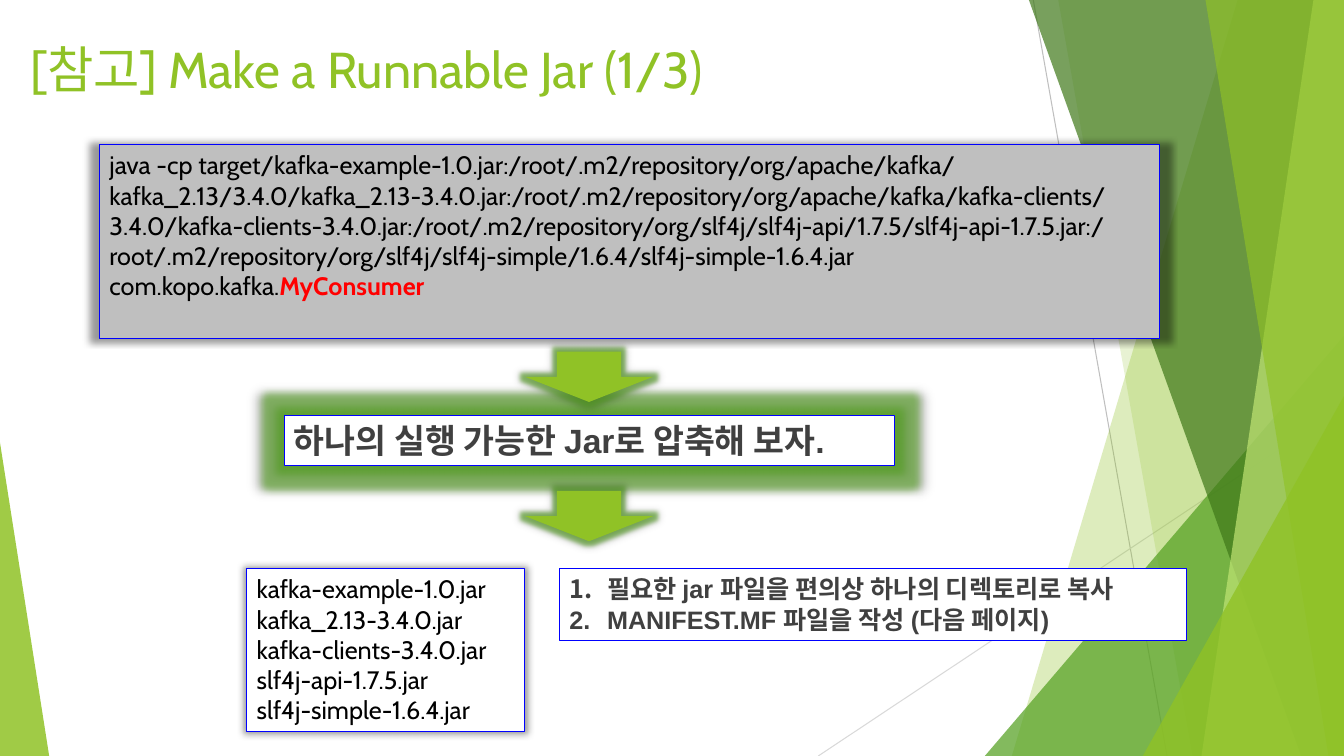
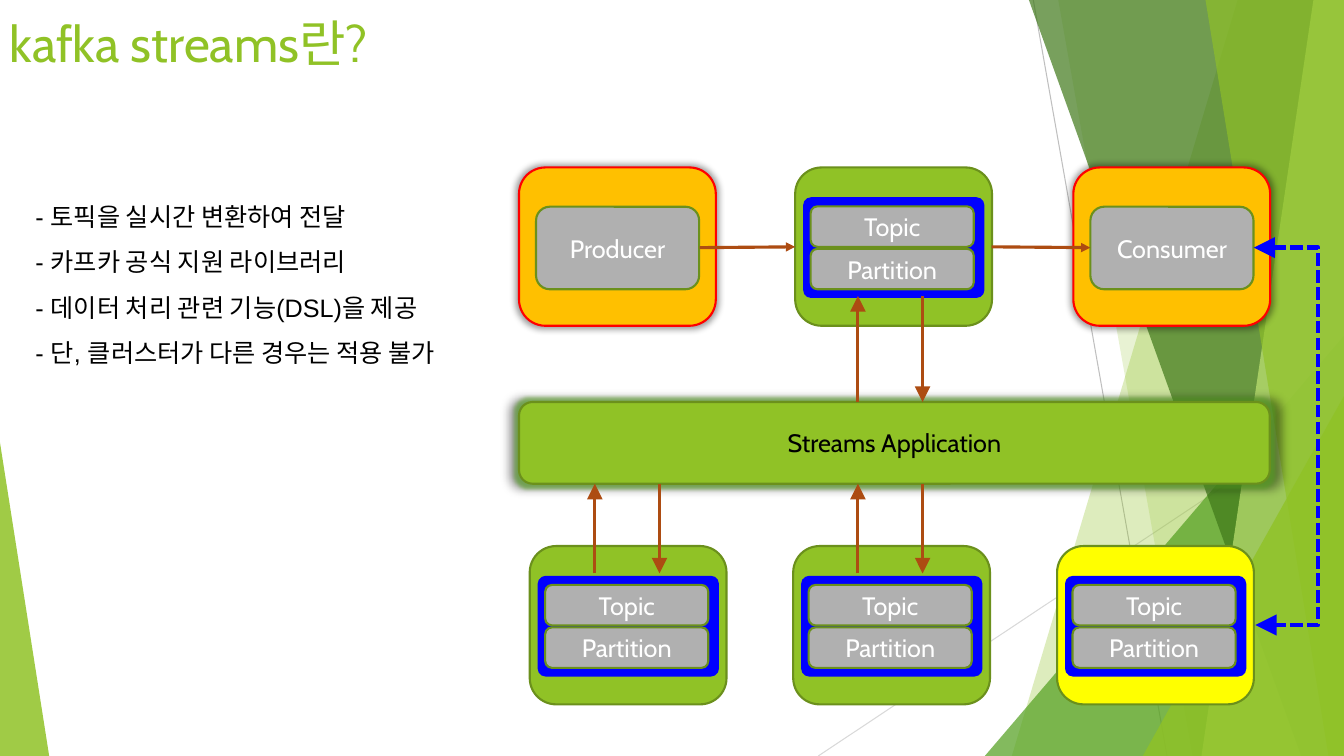
from lxml import etree
from pptx import Presentation
from pptx.dml.color import RGBColor
from pptx.enum.dml import MSO_LINE
from pptx.enum.shapes import MSO_CONNECTOR, MSO_SHAPE
from pptx.enum.text import MSO_ANCHOR, PP_ALIGN
from pptx.oxml.ns import qn
from pptx.util import Cm, Pt

RECT = MSO_SHAPE.RECTANGLE
ROUNDED = MSO_SHAPE.ROUNDED_RECTANGLE
CARD = MSO_SHAPE.FLOWCHART_ALTERNATE_PROCESS
TRIANGLE = MSO_SHAPE.ISOSCELES_TRIANGLE
DOWN_ARROW = MSO_SHAPE.DOWN_ARROW
STRAIGHT = MSO_CONNECTOR.STRAIGHT
ELBOW = MSO_CONNECTOR.ELBOW
DASHED = MSO_LINE.SQUARE_DOT
TOP, MIDDLE = MSO_ANCHOR.TOP, MSO_ANCHOR.MIDDLE
LEFT, CENTER = PP_ALIGN.LEFT, PP_ALIGN.CENTER

COLORS = {
    "green": "90C226", "mid_green": "54A021", "deep_green": "3F7819",
    "pale_green": "C0E474", "olive": "6B901C", "blue": "0000FF",
    "red": "FF0000", "orange": "FFC000", "yellow": "FFFF00",
    "brown": "AD4C12", "black": "000000", "white": "FFFFFF",
    "charcoal": "404040", "grey": "B0B0B0", "silver": "BFBFBF",
    "mist": "D9D9D9",
}
LATIN, KOREAN = "Cabin", "Arial"
WIDTH, HEIGHT = 33.87, 19.05


def rgb(color):
    return RGBColor.from_string(COLORS[color])


def add_xml(parent, tag, **attributes):
    return etree.SubElement(parent, qn(tag), attributes)


def add_color(parent, color, opacity):
    node = add_xml(parent, "a:srgbClr", val=COLORS[color])
    add_xml(node, "a:alpha", val=str(opacity * 1000))


def paint(shape, fill, outline=None, width=0.75, opacity=100):
    shape.shadow.inherit = False
    shape.fill.solid()
    shape.fill.fore_color.rgb = rgb(fill)
    if opacity < 100:
        tint = shape._element.spPr.find(qn("a:solidFill"))[0]
        add_xml(tint, "a:alpha", val=str(opacity * 1000))
    if outline:
        shape.line.color.rgb = rgb(outline)
        shape.line.width = Pt(width)
    else:
        shape.line.fill.background()


def add_halo(shape, glow=0):
    """Soft shadow all around, with a green glow of the given points."""
    effects = shape._element.spPr.find(qn("a:effectLst"))
    if glow:
        add_color(add_xml(effects, "a:glow", rad=str(Pt(glow))), "mid_green", 60)
    shadow = add_xml(effects, "a:outerShdw", blurRad=str(Pt(5)), sx="102000",
                     sy="102000", algn="ctr", rotWithShape="0")
    add_color(shadow, "black", 40)


def add_block(slide, kind, box, fill, outline=None, width=0.75, opacity=100):
    block = slide.shapes.add_shape(kind, *map(Cm, box))
    paint(block, fill, outline, width, opacity)
    return block


def write(shape, lines, size=18, font=LATIN, color="black", bold=False,
          align=LEFT, anchor=TOP, spacing=None, numbered=False):
    frame = shape.text_frame
    frame.word_wrap = True
    frame.vertical_anchor = anchor
    frame.text = "\n".join(lines)
    for paragraph in frame.paragraphs:
        paragraph.alignment = align
        if spacing:
            paragraph.line_spacing = spacing
        if numbered:
            properties = paragraph._p.get_or_add_pPr()
            properties.set("marL", str(Cm(0.95)))
            properties.set("indent", str(Cm(-0.95)))
            add_xml(properties, "a:buFont", typeface="+mj-lt")
            add_xml(properties, "a:buAutoNum", type="arabicPeriod")
        for run in paragraph.runs:
            style_run(run, size, font, color, bold)


def style_run(run, size, font, color, bold):
    run.font.size = Pt(size)
    run.font.name = font
    run.font.color.rgb = rgb(color)
    run.font.bold = bold


def add_line(slide, start, end, color, width, kind=STRAIGHT):
    line = slide.shapes.add_connector(kind, *map(Cm, start + end))
    line.line.color.rgb = rgb(color)
    line.line.width = Pt(width)
    add_xml(line._element.spPr, "a:effectLst")
    return line


def add_head(line, tag="a:tailEnd", size="med"):
    add_xml(line.line._get_or_add_ln(), tag, type="triangle", w=size, len=size)


def add_arrow(slide, start, end, size="med"):
    add_head(add_line(slide, start, end, "brown", 2.25), size=size)


def add_band(slide, top_left, bottom_left, color, opacity):
    """Slanted band reaching the right edge of the slide."""
    builder = slide.shapes.build_freeform(Cm(top_left), 0)
    corners = [(WIDTH, 0), (WIDTH, HEIGHT), (bottom_left, HEIGHT)]
    builder.add_line_segments([(Cm(x), Cm(y)) for x, y in corners])
    paint(builder.convert_to_shape(), color, opacity=opacity)


def add_wedge(slide, box, apex, color, opacity):
    wedge = add_block(slide, TRIANGLE, box, color, opacity=opacity)
    wedge.adjustments[0] = apex


def add_backdrop(slide):
    add_line(slide, (26.04, 0), (29.41, HEIGHT), "silver", 0.75)
    add_line(slide, (WIDTH, 10.24), (20.62, HEIGHT), "mist", 0.75)
    add_band(slide, 31.19, 25.5, "green", 30)
    add_band(slide, 26.67, 30.05, "green", 20)
    add_wedge(slide, (24.82, 8.46, 9.05, 10.59), 1, "mid_green", 72)
    add_band(slide, 25.93, 32.79, "deep_green", 70)
    add_band(slide, 33.1, 30.28, "pale_green", 70)
    add_band(slide, 30.38, 33.48, "green", 65)
    add_wedge(slide, (28.8, 9.98, 5.07, 9.07), 1, "green", 80)
    add_wedge(slide, (0, 11.15, 1.24, 7.9), 0, "green", 85)


def add_page(deck, title, left, top):
    slide = deck.slides.add_slide(deck.slide_layouts[6])
    add_backdrop(slide)
    heading = slide.shapes.add_textbox(Cm(left), Cm(top), Cm(23.88), Cm(3.66))
    write(heading, [title], size=36, color="green")
    return slide


def add_label(slide, box, text):
    label = add_block(slide, CARD, box, "grey", "olive", 1.5)
    write(label, [text], color="white", align=CENTER, anchor=MIDDLE)


def add_client(slide, left, top, role):
    card = add_block(slide, CARD, (left, top, 4.96, 3.99), "orange", "red", 1.5)
    add_halo(card)
    add_label(slide, (left + 0.43, top + 0.99, 4.11, 2.08), role)


def add_topic(slide, left, top, fill):
    add_block(slide, CARD, (left, top, 4.96, 3.99), fill, "olive", 1.5)
    frame = add_block(slide, ROUNDED, (left + 0.2, top + 0.75, 4.57, 2.54), "blue")
    frame.adjustments[0] = 0.08
    for row, text in enumerate(("Topic", "Partition")):
        box = (left + 0.39, top + 0.98 + row * 1.07, 4.11, 1.02)
        add_label(slide, box, text)


def add_exchange(slide, x, upper, lower):
    """An arrow up and, to its right, an arrow down."""
    add_arrow(slide, (x, lower), (x, upper), "lg")
    add_arrow(slide, (x + 1.63, upper), (x + 1.63, lower), "lg")


def add_bypass(slide, start, end, reach):
    """Dashed two-way link that bends out by the given reach."""
    link = add_line(slide, start, end, "blue", 3, ELBOW)
    link.line.dash_style = DASHED
    for tag in ("a:headEnd", "a:tailEnd"):
        add_head(link, tag, "lg")
    bend = round(reach / (end[0] - start[0]) * 100000)
    guides = link._element.spPr.find(qn("a:prstGeom")).find(qn("a:avLst"))
    add_xml(guides, "a:gd", name="adj1", fmla=f"val {bend}")


def build_jar_page(deck):
    slide = add_page(deck, "[참고] Make a Runnable Jar (1/3)", 0.53, 0.84)

    command = add_block(slide, RECT, (2.51, 3.65, 26.72, 4.89), "silver", "blue")
    add_halo(command)
    write(command, [
        "java -cp target/kafka-example-1.0.jar"
        ":/root/.m2/repository/org/apache/kafka/kafka_2.13/3.4.0/kafka_2.13-3.4.0.jar"
        ":/root/.m2/repository/org/apache/kafka/kafka-clients/3.4.0/kafka-clients-3.4.0.jar"
        ":/root/.m2/repository/org/slf4j/slf4j-api/1.7.5/slf4j-api-1.7.5.jar"
        ":/root/.m2/repository/org/slf4j/slf4j-simple/1.6.4/slf4j-simple-1.6.4.jar"
        " com.kopo.kafka."])
    main_class = command.text_frame.paragraphs[0].add_run()
    main_class.text = "MyConsumer"
    style_run(main_class, 18, LATIN, "red", True)

    goal = add_block(slide, RECT, (7.16, 10.46, 15.39, 1.28), "white", "blue")
    add_halo(goal, glow=11)
    write(goal, ["하나의 실행 가능한 Jar로 압축해 보자."], size=24, font=KOREAN,
          color="charcoal", bold=True)

    for top in (8.86, 12.37):
        add_halo(add_block(slide, DOWN_ARROW, (13.23, top, 3.23, 1.27), "green"),
                 glow=6)

    steps = add_block(slide, RECT, (14.1, 14.33, 15.8, 1.8), "white", "blue")
    write(steps, ["필요한 jar 파일을 편의상 하나의 디렉토리로 복사",
                  "MANIFEST.MF 파일을 작성 (다음 페이지)"],
          font=KOREAN, color="charcoal", bold=True, numbered=True)

    jars = add_block(slide, RECT, (6.22, 14.33, 7, 4.1), "white", "blue")
    add_halo(jars)
    write(jars, ["kafka-example-1.0.jar", "kafka_2.13-3.4.0.jar",
                 "kafka-clients-3.4.0.jar", "slf4j-api-1.7.5.jar",
                 "slf4j-simple-1.6.4.jar"])


def build_streams_page(deck):
    slide = add_page(deck, "kafka streams란?", 0, 0.18)

    features = slide.shapes.add_textbox(Cm(0.64), Cm(4.57), Cm(11.89), Cm(5.87))
    write(features, ["- 토픽을 실시간 변환하여 전달",
                     "- 카프카 공식 지원 라이브러리",
                     "- 데이터 처리 관련 기능(DSL)을 제공",
                     "- 단, 클러스터가 다른 경우는 적용 불가"],
          font=KOREAN, spacing=1.5)

    add_client(slide, 13.08, 4.22, "Producer")
    add_client(slide, 27.05, 4.22, "Consumer")
    for left, top, fill in ((20.04, 4.22, "green"), (13.35, 13.76, "green"),
                            (19.99, 13.76, "green"), (26.64, 13.76, "yellow")):
        add_topic(slide, left, top, fill)

    application = add_block(slide, ROUNDED, (13.08, 10.13, 18.92, 2.06),
                            "green", "olive", 1.5)
    add_halo(application, glow=5)
    write(application, ["Streams Application"], align=CENTER, anchor=MIDDLE)

    add_arrow(slide, (17.63, 6.24), (20.04, 6.22))
    add_arrow(slide, (24.99, 6.22), (27.48, 6.24))
    add_exchange(slide, 21.62, 7.46, 10.13)
    for x in (14.99, 21.62):
        add_exchange(slide, x, 12.19, 14.45)
    add_bypass(slide, (31.6, 6.24), (31.64, 15.75), 1.62)


def main():
    deck = Presentation()
    deck.slide_width, deck.slide_height = Cm(WIDTH), Cm(HEIGHT)
    build_jar_page(deck)
    build_streams_page(deck)
    deck.save("out.pptx")


if __name__ == "__main__":
    main()
